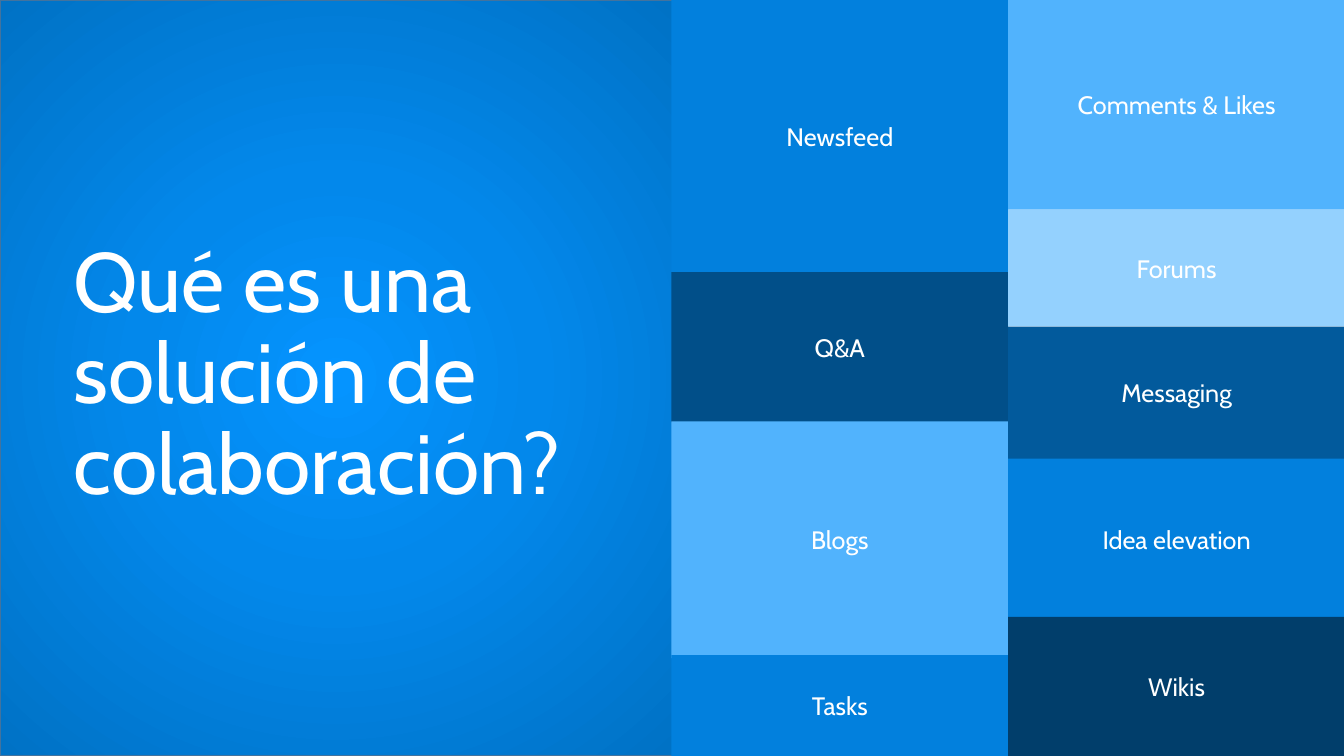
from lxml import etree
from pptx import Presentation
from pptx.dml.color import RGBColor
from pptx.enum.shapes import MSO_SHAPE as Shape
from pptx.enum.text import MSO_ANCHOR as Anchor, PP_ALIGN as Align
from pptx.oxml.ns import qn
from pptx.util import Inches, Pt


def color(code):
    return RGBColor.from_string(code)


def write(shape, text, size=18, align=Align.CENTER, spacing=1.0):
    frame = shape.text_frame
    frame.word_wrap = True
    frame.vertical_anchor = Anchor.MIDDLE
    para = frame.paragraphs[0]
    para.alignment = align
    para.line_spacing = spacing
    run = para.add_run()
    run.text = text
    run.font.name = "Cabin"
    run.font.size = Pt(size)
    run.font.color.rgb = color("FFFFFF")


deck = Presentation()
deck.slide_width, deck.slide_height = Inches(13.33), Inches(7.5)
slide = deck.slides.add_slide(deck.slide_layouts[5])
shapes = slide.shapes

# Left panel with a radial gradient, placed behind the title
panel = shapes.add_shape(Shape.RECTANGLE, 0, 0, Inches(6.67), Inches(7.5))
panel.shadow.inherit = False
panel.line.color.rgb = color("43739E")
panel.line.width = Pt(1)
grad = etree.Element(qn("a:gradFill"), rotWithShape="1")
stops = etree.SubElement(grad, qn("a:gsLst"))
for pos, code in [(0, "0594FF"), (40, "0388EB"), (100, "0072C5")]:
    stop = etree.SubElement(stops, qn("a:gs"), pos=str(pos * 1000))
    etree.SubElement(stop, qn("a:srgbClr"), val=code)
focus = etree.SubElement(grad, qn("a:path"), path="circle")
etree.SubElement(focus, qn("a:fillToRect"), l="50000", t="50000", r="50000", b="50000")
panel._element.spPr.find(qn("a:prstGeom")).addnext(grad)
shapes._spTree.insert(2, panel._element)

title = shapes.title
title.left, title.top = Inches(0.63), Inches(0.95)
title.width, title.height = Inches(5.4), Inches(5.57)
write(title, "Qué es una solución de colaboración?", size=60, align=Align.LEFT, spacing=0.9)

# Tiles by column: label, top, height, fill; later tiles cover slight overlaps
columns = {
    6.66: [
        ("Newsfeed", 0, 2.7, "0280DD"),
        ("Q&A", 2.7, 1.49, "014F89"),
        ("Blogs", 4.18, 2.35, "51B3FD"),
        ("Tasks", 6.5, 1.0, "0280DD"),
    ],
    10: [
        ("Comments & Likes", 0, 2.08, "51B3FD"),
        ("Idea elevation", 4.52, 1.66, "0280DD"),
        ("Wikis", 6.12, 1.38, "013E6B"),
        ("Forums", 2.08, 1.16, "94D1FE"),
        ("Messaging", 3.24, 1.31, "025A9C"),
    ],
}
for left, tiles in columns.items():
    for label, top, height, code in tiles:
        tile = shapes.add_shape(
            Shape.RECTANGLE, Inches(left), Inches(top), Inches(3.34), Inches(height)
        )
        tile.shadow.inherit = False
        tile.fill.solid()
        tile.fill.fore_color.rgb = color(code)
        tile.line.fill.background()
        write(tile, label)

deck.save("out.pptx")
